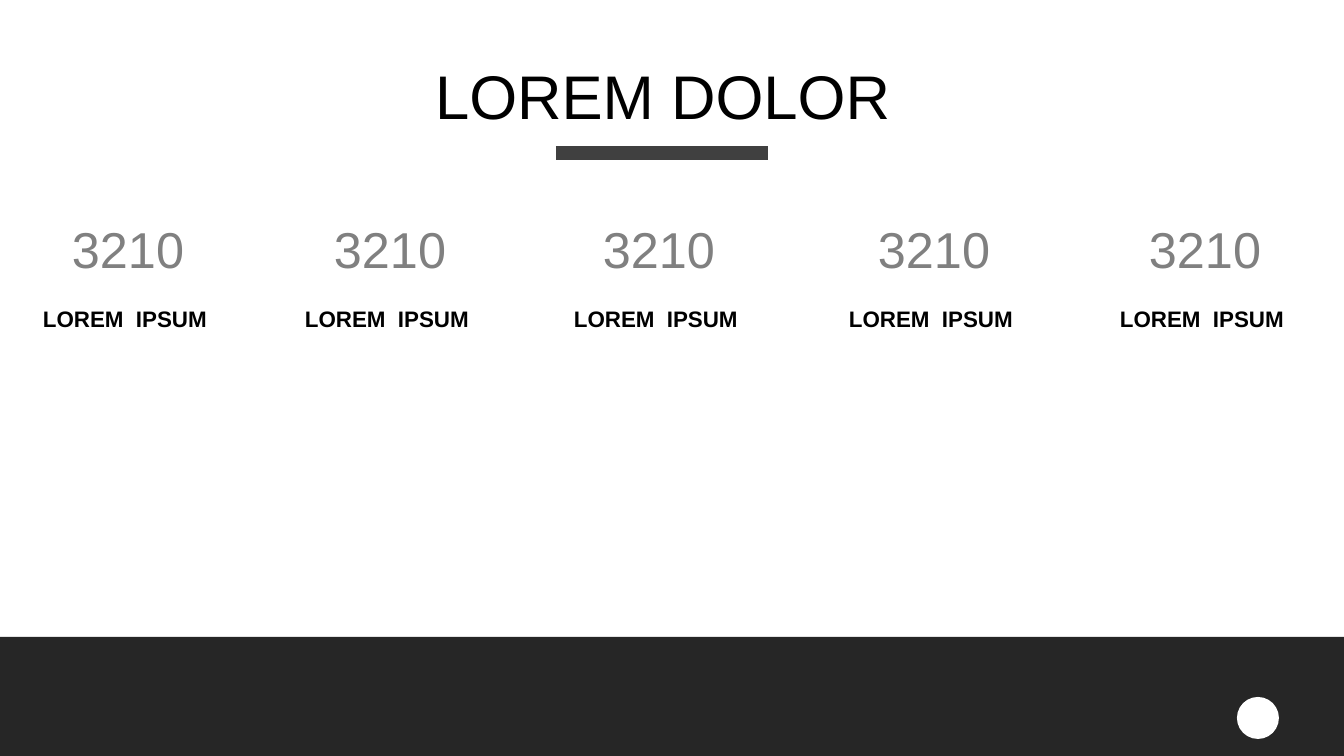
from lxml import etree
from pptx import Presentation
from pptx.dml.color import RGBColor
from pptx.enum.shapes import MSO_CONNECTOR, MSO_SHAPE
from pptx.enum.text import MSO_ANCHOR, MSO_AUTO_SIZE, PP_ALIGN
from pptx.oxml.ns import qn
from pptx.util import Emu, Pt

LINE = MSO_CONNECTOR.STRAIGHT
RECT, OVAL = MSO_SHAPE.RECTANGLE, MSO_SHAPE.OVAL
MIDDLE, CENTER, FIXED = MSO_ANCHOR.MIDDLE, PP_ALIGN.CENTER, MSO_AUTO_SIZE.NONE

SCALE = 914400 / 100.8
HUES = {"black": "000000", "gray": "808080", "rule": "404040",
        "band": "262626", "white": "FFFFFF"}
FRAME = {"word_wrap": True, "auto_size": FIXED, "vertical_anchor": MIDDLE}
HEAD = {"size": Pt(44), "name": "Arial", "bold": False}
COUNT = {"size": Pt(36), "name": "Arial", "bold": False}
LABEL = {"size": Pt(16), "name": "Arial", "bold": True}
COLUMNS = [(0, 256), (257, 266), (526, 266), (801, 266), (1072, 266)]


def px(num):
    return Emu(round(num * SCALE))


def hue(name):
    return RGBColor.from_string(HUES[name])


def apply(item, form):
    for key, value in form.items():
        setattr(item, key, value)


def place(item, box):
    apply(item, dict(zip(("left", "top", "width", "height"), map(px, box))))


def write(para, text, form, color, space=1.0):
    apply(para, {"alignment": CENTER, "line_spacing": space})
    run = para.add_run()
    run.text = text
    apply(run.font, form)
    run.font.color.rgb = hue(color)


def shape(slide, kind, box, color):
    item = slide.shapes.add_shape(kind, *map(px, box))
    item.shadow.inherit = False
    item.fill.solid()
    item.fill.fore_color.rgb = hue(color)
    item.line.fill.background()


def header(slide, box):
    left, top, width, height = box
    title = slide.shapes.title
    place(title, box)
    apply(title.text_frame, FRAME)
    write(title.text_frame.paragraphs[0], "LOREM DOLOR ", HEAD, "black")
    start, level = left + 418, top + 101
    rule = slide.shapes.add_connector(
        LINE, px(start), px(level), px(start + 212), px(level))
    rule.line.width = Pt(10)
    rule.line.color.rgb = hue("rule")
    etree.SubElement(rule.element.spPr, qn("a:effectLst"))


def figure(slide, box):
    frame = slide.shapes.add_textbox(*map(px, box)).text_frame
    apply(frame, FRAME)
    frame.margin_bottom = px(37)
    write(frame.paragraphs[0], "3210", COUNT, "gray")
    write(frame.add_paragraph(), "LOREM  IPSUM ", LABEL, "black", 2.0)


def footer(slide, box):
    left, top, width, height = box
    shape(slide, RECT, box, "band")
    shape(slide, OVAL, (left + width - 107, top + 60, 42, 42), "white")


def main():
    deck = Presentation()
    apply(deck, {"slide_width": px(1344), "slide_height": px(756)})
    slide = deck.slides.add_slide(deck.slide_layouts[5])
    footer(slide, (0, 637, 1344, 119))
    header(slide, (138, 52, 1067, 85))
    for left, width in COLUMNS:
        figure(slide, (left, 209, width, 164))
    deck.save("out.pptx")


if __name__ == "__main__":
    main()
